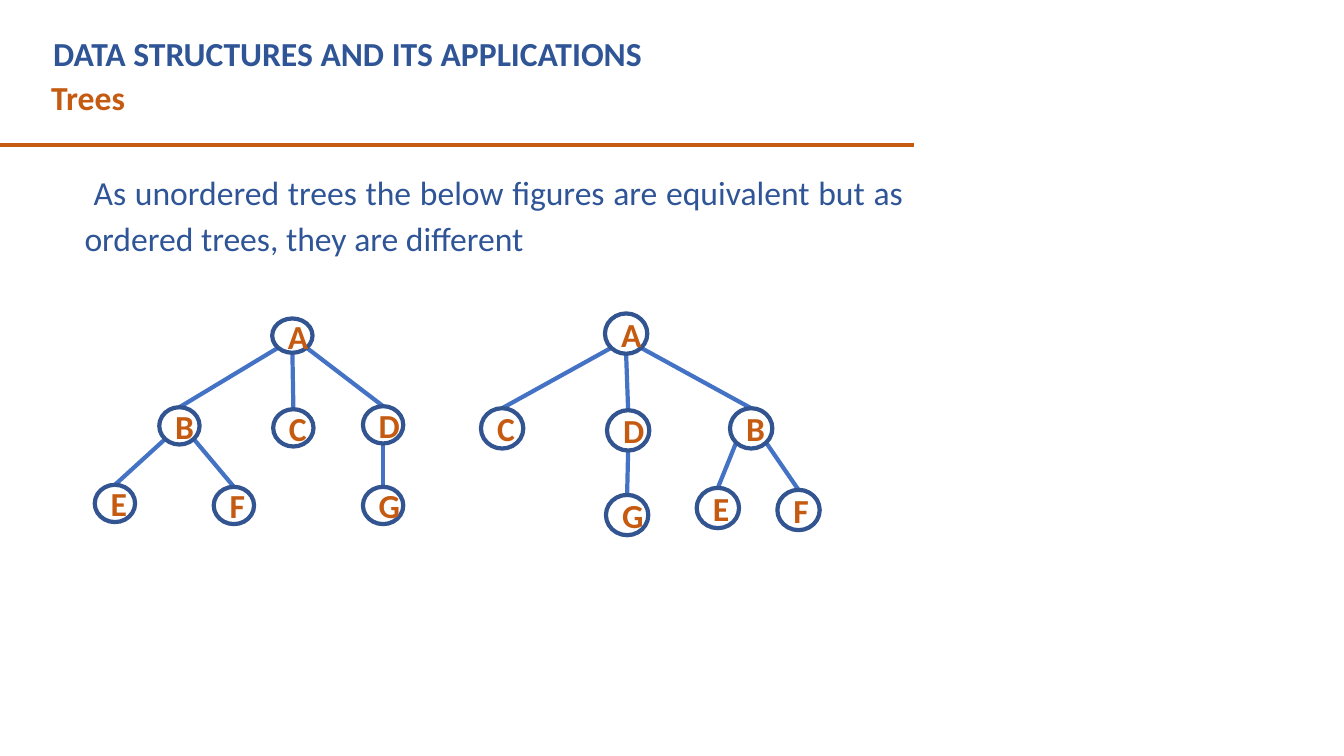
"""Build a slide comparing two trees as unordered and ordered trees."""
from math import sqrt
from lxml.etree import SubElement
from pptx import Presentation
from pptx.dml.color import RGBColor
from pptx.enum.shapes import MSO_CONNECTOR as Link, MSO_SHAPE as Shape
from pptx.enum.text import PP_ALIGN as Align
from pptx.oxml.ns import qn
from pptx.util import Inches, Pt

BLUE = RGBColor(0x2F, 0x55, 0x97)
RING = RGBColor(0x32, 0x54, 0x91)
EDGE = RGBColor(0x44, 0x72, 0xC4)
RUST = RGBColor(0xC5, 0x5A, 0x11)
WHITE = RGBColor(0xFF, 0xFF, 0xFF)

HEADS = [
    ("Trees", 0.41, 0.71, 8.75, RUST),
    ("DATA STRUCTURES AND ITS APPLICATIONS", 0.43, 0.28, 8.2, BLUE),
]
BODY = "As unordered trees the below figures are equivalent but as ordered trees, they are different"
TREES = [
    {
        "nodes": {
            "A": (2.7, 3.16, 0.4, 0.34),
            "B": (1.58, 4.04, 0.4, 0.37),
            "C": (2.71, 4.06, 0.4, 0.37),
            "D": (3.6, 4.03, 0.4, 0.37),
            "E": (0.94, 4.81, 0.4, 0.37),
            "F": (2.12, 4.83, 0.4, 0.37),
            "G": (3.6, 4.83, 0.4, 0.37),
        },
        "edges": ["AB", "AC", "AD", "BE", "BF", "DG"],
    },
    {
        "nodes": {
            "A": (6, 3.11, 0.42, 0.4),
            "C": (4.77, 4.05, 0.42, 0.4),
            "D": (6.02, 4.07, 0.42, 0.4),
            "B": (7.24, 4.05, 0.42, 0.4),
            "G": (6.01, 4.91, 0.42, 0.4),
            "E": (6.91, 4.84, 0.42, 0.4),
            "F": (7.71, 4.86, 0.42, 0.4),
        },
        "edges": ["AC", "AD", "AB", "DG", "BE", "BF"],
    },
]


def style(para, color, bold=True):
    font = para.font
    font.name, font.size, font.bold = "Calibri", Pt(24), bold
    font.color.rgb = color


def add_text(shapes, text, left, top, width, height, color, bold=True):
    frame = shapes.add_textbox(*map(Inches, (left, top, width, height))).text_frame
    frame.word_wrap = True
    frame.text = text
    style(frame.paragraphs[0], color, bold)
    return frame


def add_line(shapes, start, end, color):
    line = shapes.add_connector(Link.STRAIGHT, *map(Inches, start + end))
    line.line.color.rgb = color
    line.line.width = Pt(3)
    SubElement(line._element.spPr, qn("a:effectLst"))


def add_node(shapes, label, box):
    node = shapes.add_shape(Shape.OVAL, *map(Inches, box))
    node.shadow.inherit = False
    node.fill.solid()
    node.fill.fore_color.rgb = WHITE
    node.line.color.rgb = RING
    node.line.width = Pt(3)
    node.text_frame.text = label
    para = node.text_frame.paragraphs[0]
    para.alignment = Align.CENTER
    style(para, RUST)


def edge_ends(parent, child):
    left, top, width, height = parent
    mid = left + width / 2
    end = (child[0] + child[2] / 2, child[1])
    shift = end[0] - mid
    if abs(shift) < 0.1:
        return (mid, top + height), end
    side = 1 if shift > 0 else -1
    reach = sqrt(0.5) / 2
    return (mid + side * reach * width, top + height / 2 + reach * height), end


def add_tree(shapes, nodes, edges):
    group = shapes.add_group_shape().shapes
    for parent, child in edges:
        add_line(group, *edge_ends(nodes[parent], nodes[child]), EDGE)
    for label, box in nodes.items():
        add_node(group, label, box)


def main():
    deck = Presentation()
    deck.slide_width, deck.slide_height = Inches(13.33), Inches(7.5)
    shapes = deck.slides.add_slide(deck.slide_layouts[6]).shapes
    for text, left, top, width, color in HEADS:
        add_text(shapes, text, left, top, width, 0.5, color)
    add_line(shapes, (0, 1.44), (9.07, 1.44), RUST)

    frame = add_text(shapes, BODY, 0.49, 1.65, 8.57, 0.95, BLUE, False)
    frame.margin_top = frame.margin_bottom = 0
    para = frame.paragraphs[0]
    para.alignment = Align.JUSTIFY
    para.line_spacing = 1.14
    props = para._p.get_or_add_pPr()
    props.set("marL", str(Inches(0.25)))
    props.set("indent", str(Inches(0.09)))

    for tree in TREES:
        add_tree(shapes, **tree)
    deck.save("out.pptx")


if __name__ == "__main__":
    main()
